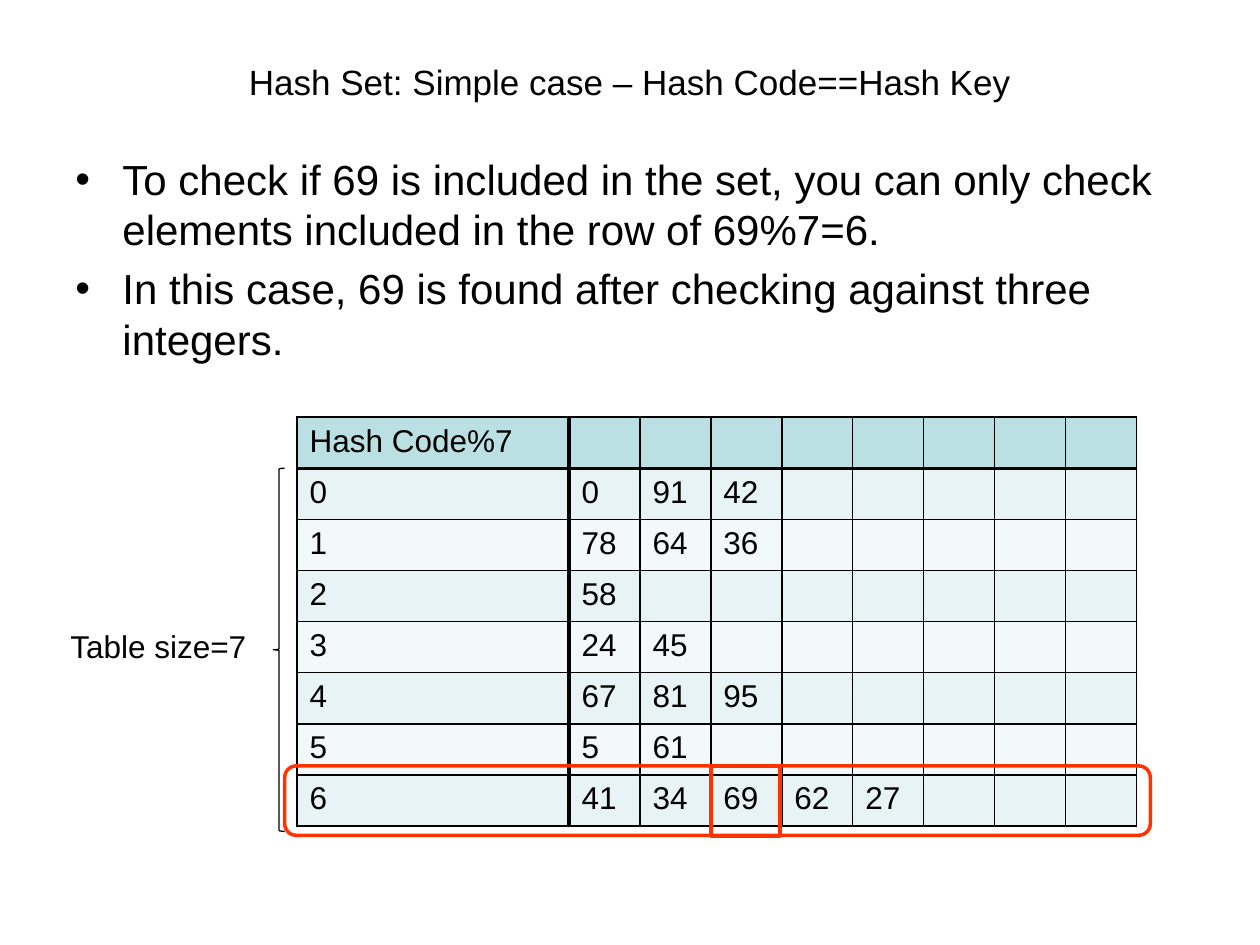
"""Build the slide on looking up a value in a hash set."""
from lxml.etree import SubElement
from pptx import Presentation
from pptx.dml.color import RGBColor
from pptx.enum.shapes import MSO_SHAPE
from pptx.enum.text import MSO_ANCHOR, PP_ALIGN
from pptx.oxml import parse_xml
from pptx.oxml.ns import nsdecls, qn
from pptx.util import Cm, Pt

BLACK = RGBColor(0x00, 0x00, 0x00)
RED = RGBColor(0xFF, 0x33, 0x00)
HEADER = RGBColor(0xBB, 0xE0, 0xE3)
BANDS = (RGBColor(0xE7, 0xF3, 0xF4), RGBColor(0xF3, 0xF9, 0xFA))
FONT = "Arial"

TITLE = "Hash Set: Simple case – Hash Code==Hash Key"
POINTS = [
    "To check if 69 is included in the set, you can only check elements "
    "included in the row of 69%7=6.",
    "In this case, 69 is found after checking against three integers.",
]
SIZE_LABEL = "Table size=7"
KEY_HEADING = "Hash Code%7"
BUCKETS = [
    [0, 91, 42],
    [78, 64, 36],
    [58],
    [24, 45],
    [67, 81, 95],
    [5, 61],
    [41, 34, 69, 62, 27],
]
SLOTS = 8
TABLE_LEFT, TABLE_TOP = 5.99, 8.41
KEY_WIDTH, SLOT_WIDTH, ROW_HEIGHT = 5.48, 1.43, 1.03
THIN, THICK = 1, 2.25


def style(paragraph, size):
    font = paragraph.font
    font.name, font.size, font.bold = FONT, Pt(size), False
    font.color.rgb = BLACK


def add_text(slide, box, lines, size):
    frame = slide.shapes.add_textbox(*map(Cm, box)).text_frame
    frame.word_wrap = True
    frame.text = "\n".join(lines)
    for paragraph in frame.paragraphs:
        style(paragraph, size)
    return frame


def add_bullet(paragraph):
    paragraph.space_before = Pt(4.8)
    properties = paragraph._p.get_or_add_pPr()
    properties.set("marL", str(Cm(0.95)))
    properties.set("indent", str(-Cm(0.95)))
    SubElement(properties, qn("a:buFont"), typeface=FONT)
    SubElement(properties, qn("a:buChar"), char="•")


def add_outline(slide, preset, box, color, width):
    outline = slide.shapes.add_shape(preset, *map(Cm, box))
    outline.shadow.inherit = False
    outline.fill.background()
    outline.line.color.rgb = color
    outline.line.width = Pt(width)


def set_borders(cell, row, column):
    widths = {
        "L": THICK if column == 1 else THIN,
        "R": THICK if column == 0 else THIN,
        "T": THICK if row == 1 else THIN,
        "B": THICK if row == 0 else THIN,
    }
    properties = cell._tc.get_or_add_tcPr()
    for position, (side, width) in enumerate(widths.items()):
        properties.insert(position, parse_xml(
            f'<a:ln{side} {nsdecls("a")} w="{Pt(width)}"><a:solidFill>'
            f'<a:srgbClr val="{BLACK}"/></a:solidFill></a:ln{side}>'))


def add_hash_table(slide):
    rows = [[KEY_HEADING]] + [[key, *values] for key, values in enumerate(BUCKETS)]
    widths = [KEY_WIDTH] + [SLOT_WIDTH] * SLOTS
    table = slide.shapes.add_table(
        len(rows), len(widths), Cm(TABLE_LEFT), Cm(TABLE_TOP),
        Cm(sum(widths)), Cm(ROW_HEIGHT * len(rows))).table
    table.first_row = table.horz_banding = False
    for column, width in zip(table.columns, widths):
        column.width = Cm(width)
    for r, values in enumerate(rows):
        table.rows[r].height = Cm(ROW_HEIGHT)
        for c in range(len(widths)):
            cell = table.cell(r, c)
            cell.text = str(values[c]) if c < len(values) else ""
            style(cell.text_frame.paragraphs[0], 18)
            cell.fill.solid()
            cell.fill.fore_color.rgb = BANDS[(r - 1) % 2] if r else HEADER
            set_borders(cell, r, c)


def main():
    presentation = Presentation()
    presentation.slide_width, presentation.slide_height = Cm(25.4), Cm(19.05)
    slide = presentation.slides.add_slide(presentation.slide_layouts[6])

    title = add_text(slide, (1.27, 0.76, 22.86, 1.78), [TITLE], 20)
    title.vertical_anchor = MSO_ANCHOR.MIDDLE
    title.paragraphs[0].alignment = PP_ALIGN.CENTER

    points = add_text(slide, (1.27, 2.97, 22.86, 4.6), POINTS, 24)
    for paragraph in points.paragraphs:
        add_bullet(paragraph)

    add_hash_table(slide)
    add_outline(slide, MSO_SHAPE.LEFT_BRACE,
                (5.51, TABLE_TOP + ROW_HEIGHT, 0.23, 7.32), BLACK, 0.75)
    add_text(slide, (1.17, 12.52, 4.29, 1.02), [SIZE_LABEL], 18)

    found_row, found_slot = 6, 2
    row_top = TABLE_TOP + ROW_HEIGHT * (found_row + 1) - 0.18
    slot_left = TABLE_LEFT + KEY_WIDTH + SLOT_WIDTH * found_slot
    add_outline(slide, MSO_SHAPE.ROUNDED_RECTANGLE,
                (5.74, row_top, 17.45, 1.4), RED, 2)
    add_outline(slide, MSO_SHAPE.RECTANGLE,
                (slot_left, row_top, 1.4, 1.42), RED, 2)
    presentation.save("out.pptx")


if __name__ == "__main__":
    main()
